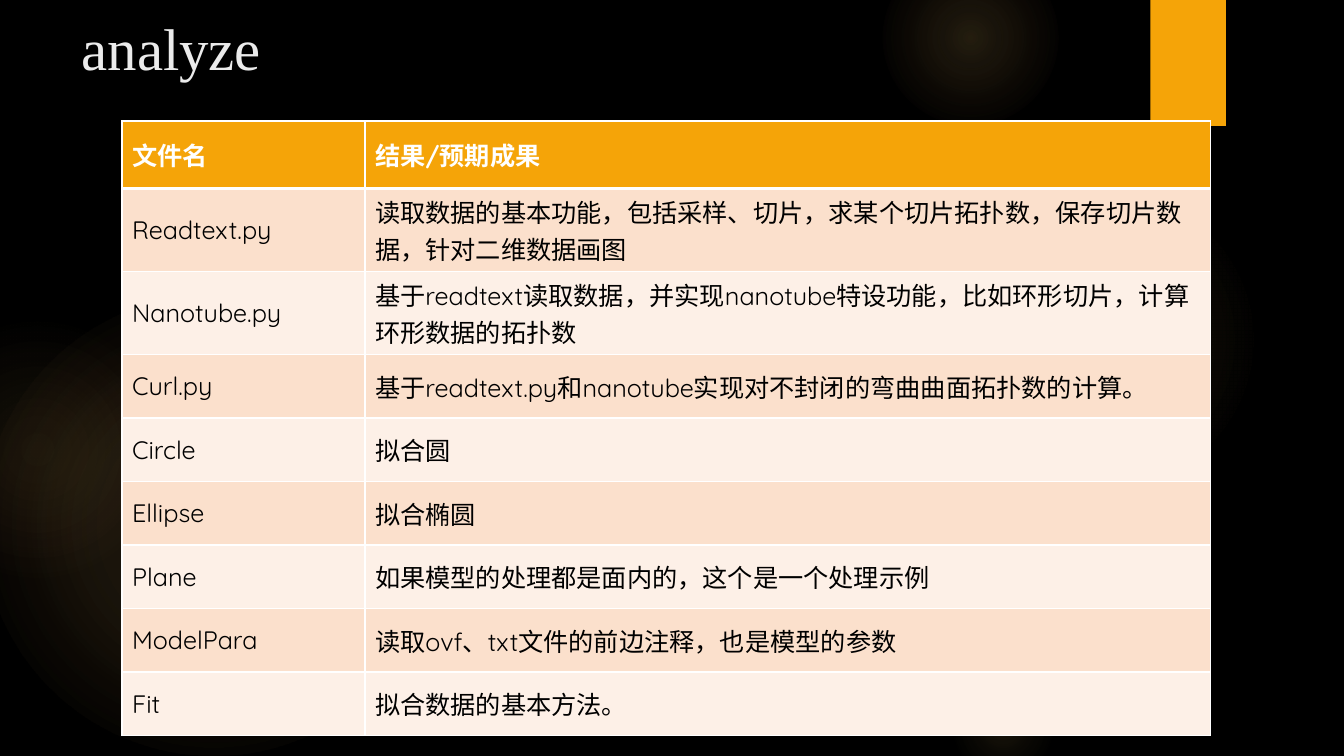
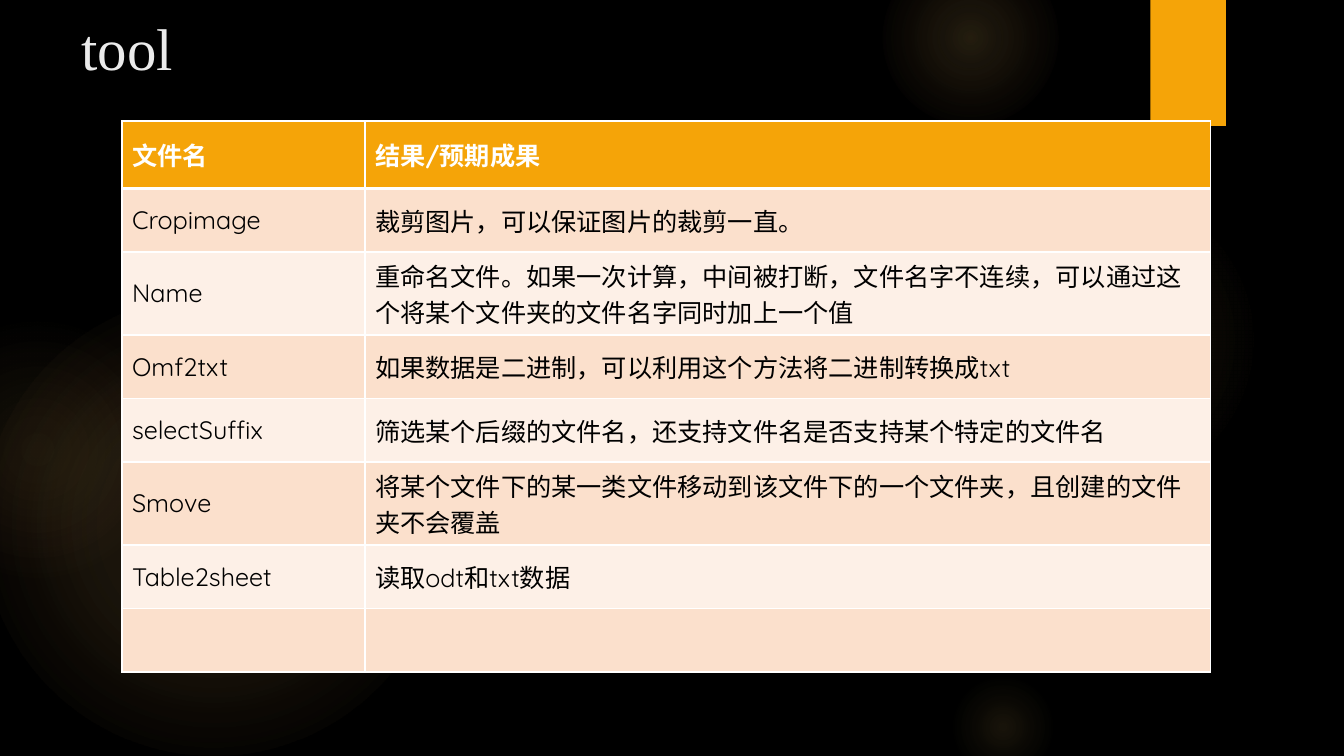
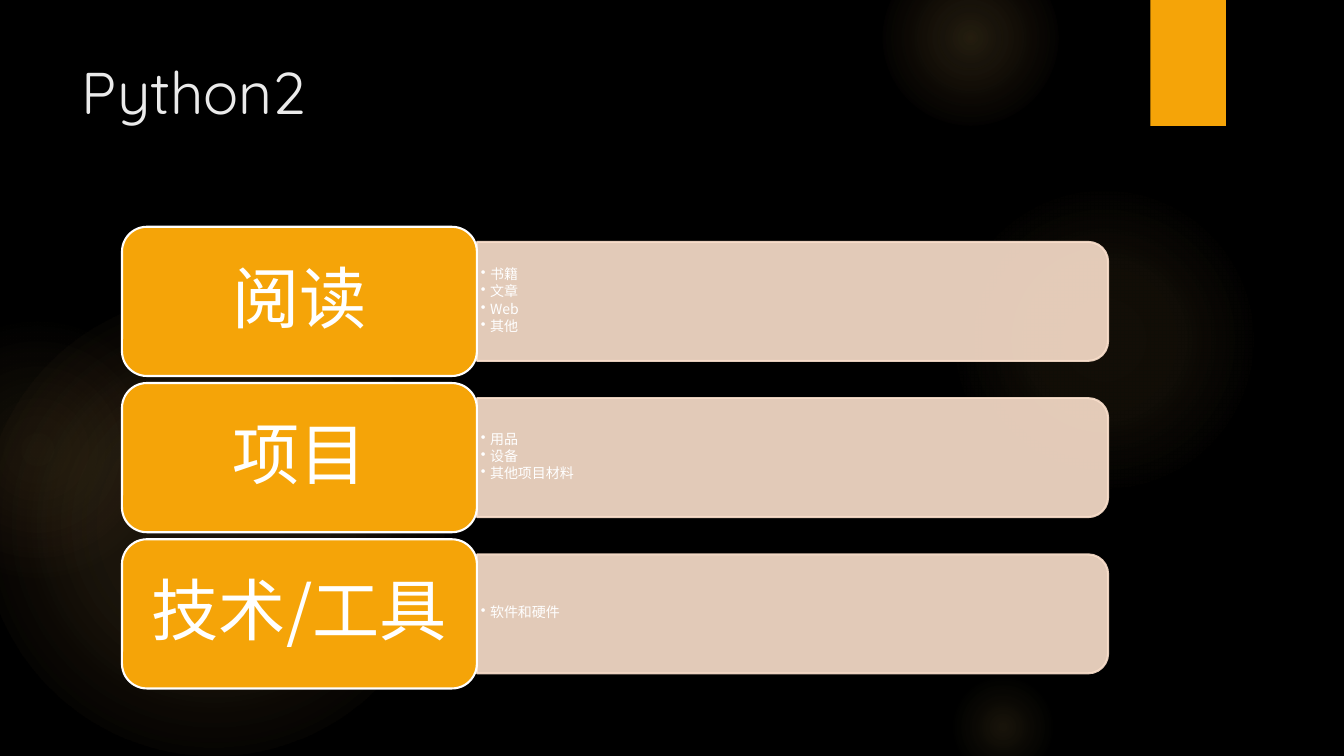
import pptx
import pptx.util
import pptx.oxml
import pptx.oxml.ns
import pptx.dml.color
import pptx.enum.shapes
import pptx.enum.text

Inches, Pt = pptx.util.Inches, pptx.util.Pt
RGBColor = pptx.dml.color.RGBColor
SHAPE = pptx.enum.shapes.MSO_SHAPE
ALIGN = pptx.enum.text.PP_ALIGN
ANCHOR = pptx.enum.text.MSO_ANCHOR
qn = pptx.oxml.ns.qn

# Content
HEADER = ("文件名", "结果/预期成果")
TABLE_PAGES = [
    ("analyze", [
        ("Readtext.py", "读取数据的基本功能，包括采样、切片，求某个切片拓扑数，保存切片数据，针对二维数据画图"),
        ("Nanotube.py", "基于readtext读取数据，并实现nanotube特设功能，比如环形切片，计算环形数据的拓扑数"),
        ("Curl.py", "基于readtext.py和nanotube实现对不封闭的弯曲曲面拓扑数的计算。"),
        ("Circle", "拟合圆"),
        ("Ellipse", "拟合椭圆"),
        ("Plane", "如果模型的处理都是面内的，这个是一个处理示例"),
        ("ModelPara", "读取ovf、txt文件的前边注释，也是模型的参数"),
        ("Fit", "拟合数据的基本方法。"),
    ]),
    ("tool", [
        ("Cropimage", "裁剪图片，可以保证图片的裁剪一直。"),
        ("Name", "重命名文件。如果一次计算，中间被打断，文件名字不连续，可以通过这个将某个文件夹的文件名字同时加上一个值"),
        ("Omf2txt", "如果数据是二进制，可以利用这个方法将二进制转换成txt"),
        ("selectSuffix", "筛选某个后缀的文件名，还支持文件名是否支持某个特定的文件名"),
        ("Smove", "将某个文件下的某一类文件移动到该文件下的一个文件夹，且创建的文件夹不会覆盖"),
        ("Table2sheet", "读取odt和txt数据"),
        ("", ""),
    ]),
]
RESOURCES = [
    ("阅读", ["书籍", "文章", "Web", "其他"]),
    ("项目", ["用品", "设备", "其他项目材料"]),
    ("技术/工具", ["软件和硬件"]),
]

# Shared look
BLACK = RGBColor(0x00, 0x00, 0x00)
WHITE = RGBColor(0xFF, 0xFF, 0xFF)
ORANGE = RGBColor(0xF5, 0xA4, 0x08)
PEACH = RGBColor(0xFB, 0xE0, 0xCC)
CREAM = RGBColor(0xFD, 0xF0, 0xE7)
TITLE_GREY = RGBColor(0xEB, 0xEB, 0xEB)
GLOW = RGBColor(0xFA, 0xC9, 0x6A)
GLOW_EDGE = RGBColor(0xF5, 0x9B, 0x74)
LATIN, SERIF, CJK = "Quicksand", "Times New Roman", "Noto Sans CJK SC"

# Glows: left, top, diameter, then (position %, colour, opacity %)
GLOWS = [
    (-0.17, 2.92, 4.58, [(0, GLOW, 11), (36, GLOW, 10), (75, GLOW, 0)]),
    (-0.92, 3.17, 2.58, [(0, GLOW, 8), (36, GLOW, 5), (71, GLOW_EDGE, 0)]),
    (9.41, 1.83, 3.08, [(0, GLOW, 7), (36, GLOW, 6), (69, GLOW, 0)]),
    (8.75, -0.5, 1.75, [(0, GLOW, 14), (36, GLOW, 7), (73, GLOW, 0)]),
    (9.41, 6.67, 1.08, [(0, GLOW, 10), (31, GLOW, 5), (66, GLOW, 0)]),
]


def xml(tag, attributes="", inner=""):
    return pptx.oxml.parse_xml(
        f'<a:{tag} xmlns:a="http://schemas.openxmlformats.org/drawingml/2006/main"'
        f' {attributes}>{inner}</a:{tag}>')


def add_box(page, kind, left, top, width, height, fill=None, line=None):
    box = page.shapes.add_shape(
        kind, Inches(left), Inches(top), Inches(width), Inches(height))
    box.shadow.inherit = False
    if fill is None:
        box.fill.background()
    else:
        box.fill.solid()
        box.fill.fore_color.rgb = fill
    if line is None:
        box.line.fill.background()
    else:
        box.line.color.rgb = line
        box.line.width = Pt(1.5)
    return box


def style(para, font, size, colour, bold=False):
    for span in para.runs:
        span.font.name, span.font.size = font, Pt(size)
        span.font.color.rgb, span.font.bold = colour, bold
        span.font.element.append(xml("ea", f'typeface="{CJK}"')) \
            if hasattr(span.font, "element") else \
            span._r.get_or_add_rPr().append(xml("ea", f'typeface="{CJK}"'))


def set_insets(frame, across, down):
    frame.margin_left = frame.margin_right = Inches(across)
    frame.margin_top = frame.margin_bottom = Inches(down)
    frame.word_wrap = True
    frame.vertical_anchor = ANCHOR.MIDDLE


def decorate(layout, page):
    """Build the glows and the band, then hand them to the layout."""
    parts = []
    for left, top, size, stops in GLOWS:
        glow = add_box(page, SHAPE.OVAL, left, top, size, size)
        inner = "".join(
            f'<a:gs pos="{place * 1000}"><a:srgbClr val="{colour}">'
            f'<a:alpha val="{opacity * 1000}"/></a:srgbClr></a:gs>'
            for place, colour, opacity in stops)
        gradient = xml("gradFill", 'rotWithShape="1"', (
            f'<a:gsLst>{inner}</a:gsLst><a:path path="circle">'
            '<a:fillToRect l="50000" t="50000" r="50000" b="50000"/></a:path>'))
        properties = glow.element.spPr
        properties.replace(properties.find(qn("a:noFill")), gradient)
        parts.append(glow)
    band = add_box(page, SHAPE.RECTANGLE, 11.41, 0, 0.75, 1.25, ORANGE)
    band.element.spPr.find(qn("a:effectLst")).append(xml(
        "outerShdw", f'blurRad="{Pt(3)}" dist="{Pt(2)}" dir="5400000"',
        '<a:srgbClr val="000000"><a:alpha val="45000"/></a:srgbClr>'))
    parts.append(band)
    tree = layout.element.cSld.spTree
    for index, part in enumerate(parts):
        tree.insert(2 + index, part.element)


def add_page(title, top, font):
    page = deck.slides.add_slide(title_layout)
    box = page.shapes.title
    box.left, box.top = Inches(0.71), Inches(top)
    box.width, box.height = Inches(10.29), Inches(1.53)
    box.text_frame.text = title
    box.text_frame.vertical_anchor = ANCHOR.TOP
    para = box.text_frame.paragraphs[0]
    para.alignment = ALIGN.LEFT
    style(para, font, 42, TITLE_GREY)
    return page


def add_file_table(page, rows):
    heights = [0.67] + [0.63] * len(rows)
    table = page.shapes.add_table(
        len(heights), 2, Inches(1.21), Inches(1.2),
        Inches(10.8), Inches(sum(heights))).table
    for column, width in zip(table.columns, (2.41, 8.39)):
        column.width = Inches(width)
    for index, texts in enumerate([HEADER] + rows):
        table.rows[index].height = Inches(heights[index])
        is_header = index == 0
        fill = ORANGE if is_header else (CREAM, PEACH)[index % 2]
        for cell, text in zip(table.rows[index].cells, texts):
            cell.text_frame.text = text
            cell.vertical_anchor = ANCHOR.MIDDLE
            cell.fill.solid()
            cell.fill.fore_color.rgb = fill
            style(cell.text_frame.paragraphs[0], LATIN, 18,
                  WHITE if is_header else BLACK, is_header)
            if is_header:
                # The rule under the header is heavier than the other borders
                properties = cell._tc.get_or_add_tcPr()
                for place, (side, weight) in enumerate(
                        (("L", 1), ("R", 1), ("T", 1), ("B", 3))):
                    properties.insert(place, xml(
                        "ln" + side, f'w="{Pt(weight)}"',
                        f'<a:solidFill><a:srgbClr val="{WHITE}"/></a:solidFill>'))


def add_resource(page, top, label, items):
    card_width, card_height, bar_width, bar_height = 3.52, 1.48, 6.26, 1.18
    bar_left = 1.21 + card_width
    middle = top + card_height / 2

    # Bar: an upright shape turned a quarter round its centre
    bar = add_box(page, SHAPE.ROUND_2_SAME_RECTANGLE,
                  bar_left + (bar_width - bar_height) / 2, middle - bar_width / 2,
                  bar_height, bar_width, PEACH, PEACH)
    bar.rotation = 90
    for colour in bar.element.spPr.iter(qn("a:srgbClr")):
        colour.append(xml("alpha", 'val="90000"'))

    # Bulleted items on the bar
    listing = page.shapes.add_textbox(
        Inches(bar_left), Inches(middle - 0.54), Inches(6.2), Inches(1.07))
    frame = listing.text_frame
    set_insets(frame, 0.04, 0.02)
    frame.text = "\n".join(" " + item for item in items)
    for para in frame.paragraphs:
        para.level, para.line_spacing, para.space_after = 1, 0.9, Pt(1.5)
        properties = para._p.get_or_add_pPr()
        properties.set("marL", str(Inches(0.06)))
        properties.set("indent", str(Inches(-0.06)))
        properties.append(xml("buChar", 'char="•"'))
        style(para, CJK, 10, WHITE)

    # Labelled card
    card = add_box(page, SHAPE.ROUNDED_RECTANGLE, 1.21, top,
                   card_width, card_height, ORANGE, WHITE)
    set_insets(card.text_frame, 0.2, 0.1)
    card.text_frame.text = label
    para = card.text_frame.paragraphs[0]
    para.alignment, para.line_spacing, para.space_after = ALIGN.CENTER, 0.9, Pt(16.8)
    style(para, CJK, 48, WHITE)


# Deck and shared background
deck = pptx.Presentation()
deck.slide_width, deck.slide_height = Inches(13.33), Inches(7.5)
deck.slide_master.background.fill.solid()
deck.slide_master.background.fill.fore_color.rgb = BLACK
title_layout = deck.slide_layouts.get_by_name("Title Only")

# Pages
for title, rows in TABLE_PAGES:
    add_file_table(add_page(title, 0.07, SERIF), rows)

resource_page = add_page("Python2", 0.5, LATIN)
for index, (label, items) in enumerate(RESOURCES):
    add_resource(resource_page, 2.25 + 1.55 * index, label, items)

decorate(title_layout, resource_page)
deck.save("out.pptx")
